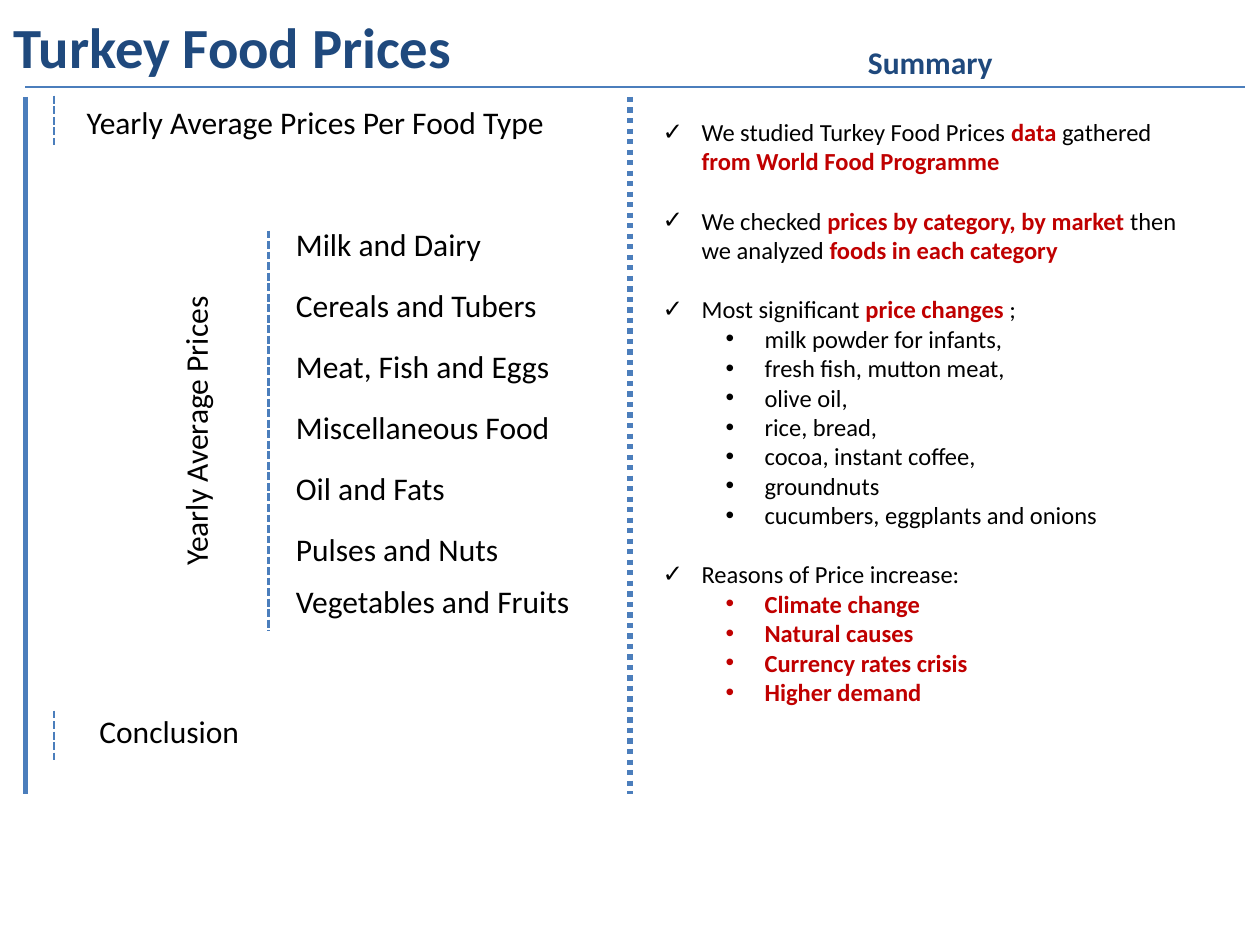
from dataclasses import dataclass

import pptx
import pptx.dml.color
import pptx.enum.dml
import pptx.enum.shapes
import pptx.enum.text
import pptx.oxml.ns
import pptx.oxml.xmlchemy
import pptx.util
from lxml import etree
from pptx.util import Inches

ANCHOR = pptx.enum.text.MSO_ANCHOR
DASH = pptx.enum.dml.MSO_LINE
qn = pptx.oxml.ns.qn


@dataclass(frozen=True)
class Theme:
    font: str = "Calibri"
    bullet_font: str = "Arial"
    heading: str = "1F497D"
    body: str = "000000"
    accent: str = "C00000"
    rule: str = "4B7EBC"
    title_size: float = 32.4
    label_size: float = 18
    list_size: float = 14
    list_gap: float = 17


THEME = Theme()

FOOD_TYPES = [
    "Milk and Dairy", "Cereals and Tubers", "Meat, Fish and Eggs",
    "Miscellaneous Food", "Oil and Fats", "Pulses and Nuts",
]

# Every second part between bars is emphasised.
FINDINGS = [
    ("We studied Turkey Food Prices |data| gathered |from World Food Programme", []),
    ("We checked |prices by category, by market |then we analyzed |foods in each category", []),
    ("Most significant |price changes |;", [
        "milk powder for infants,", "fresh fish, mutton meat,", "olive oil,",
        "rice, bread,", "cocoa, instant coffee,", "groundnuts",
        "cucumbers, eggplants and onions",
    ]),
    ("Reasons of Price increase:", [
        "|Climate change", "|Natural causes", "|Currency rates crisis", "|Higher demand",
    ]),
]


def write(para, text, size=THEME.label_size, color=THEME.body, bold=False):
    """Add text to a paragraph, with parts between bars in bold accent colour."""
    for index, part in enumerate(text.split("|")):
        if not part:
            continue
        strong = index % 2 == 1
        span = para.add_run()
        span.text = part
        span.font.name = THEME.font
        span.font.size = pptx.util.Pt(size)
        span.font.bold = bold or strong
        span.font.color.rgb = pptx.dml.color.RGBColor.from_string(
            THEME.accent if strong else color)


def add_box(page, left, top, width, height, wrap=True, anchor=ANCHOR.TOP):
    box = page.shapes.add_textbox(Inches(left), Inches(top), Inches(width), Inches(height))
    box.text_frame.word_wrap = wrap
    box.text_frame.vertical_anchor = anchor
    return box.text_frame


def add_label(page, text, left, top, width, height=0.4, **look):
    frame = add_box(page, left, top, width, height, wrap=False)
    write(frame.paragraphs[0], text, **look)


def add_rule(page, start, end, weight, dash=None):
    line = page.shapes.add_connector(
        pptx.enum.shapes.MSO_CONNECTOR.STRAIGHT, *map(Inches, start + end))
    line.line.color.rgb = pptx.dml.color.RGBColor.from_string(THEME.rule)
    line.line.width = pptx.util.Pt(weight)
    if dash:
        line.line.dash_style = dash
    etree.SubElement(line.element.spPr, qn("a:effectLst"))


def set_bullet(para, char, margin, font):
    props = para._p.get_or_add_pPr()
    props.set("marL", str(Inches(margin)))
    props.set("indent", str(Inches(-0.31)))
    etree.SubElement(props, qn("a:buFont")).set("typeface", font)
    etree.SubElement(props, qn("a:buChar")).set("char", char)


def draw_header(page, left, top, width, height):
    frame = add_box(page, left, top, width, height, anchor=ANCHOR.MIDDLE)
    write(frame.paragraphs[0], "Turkey Food Prices",
          size=THEME.title_size, color=THEME.heading, bold=True)
    add_label(page, "Summary", left + 6.78, top + 0.25, 1.26,
              color=THEME.heading, bold=True)
    add_rule(page, (left + 0.19, top + 0.65), (left + 9.87, top + 0.65), 0.75)


def draw_outline(page, left, top, width, height):
    """Draw the contents on the left, between a solid and a dotted border."""
    bottom = top + height
    add_rule(page, (left, top), (left, bottom), 3)
    add_rule(page, (left + width, top), (left + width, bottom), 3, DASH.ROUND_DOT)

    for text, indent, offset, label_width, tick in (
            ("Yearly Average Prices Per Food Type", 0.39, 0, 3.94, -0.01),
            ("Conclusion", 0.49, 4.83, 1.35, 4.87)):
        add_rule(page, (left + 0.23, top + tick), (left + 0.23, top + tick + 0.39),
                 1.5, DASH.SQUARE_DOT)
        add_label(page, text, left + indent, top + offset, label_width)

    frame = add_box(page, left + 1.1, top + 1.01, 0.5, 3.23, anchor=ANCHOR.MIDDLE)
    frame._txBody.bodyPr.set("vert", "vert270")
    frame.paragraphs[0].alignment = pptx.enum.text.PP_ALIGN.CENTER
    write(frame.paragraphs[0], "Yearly Average Prices ")

    add_rule(page, (left + 1.93, top + 1.06), (left + 1.93, top + 4.24),
             1.5, DASH.SQUARE_DOT)
    for index, food in enumerate(FOOD_TYPES):
        add_label(page, food, left + 2.05, top + 0.97 + index * 0.484, 2.3)
    add_label(page, "Vegetables and Fruits", left + 2.05, top + 3.8, 2.45)


def draw_summary(page, left, top, width, height):
    frame = add_box(page, left, top, width, height)
    para = frame.paragraphs[0]
    for index, (finding, details) in enumerate(FINDINGS):
        if index:
            para = frame.add_paragraph()
            para.space_before = pptx.util.Pt(THEME.list_gap)
        set_bullet(para, "✓", 0.31, THEME.font)
        write(para, finding, size=THEME.list_size)
        for detail in details:
            para = frame.add_paragraph()
            para.level = 1
            set_bullet(para, "•", 0.81, THEME.bullet_font)
            write(para, detail, size=THEME.list_size)


def main():
    deck = pptx.Presentation()
    deck.slide_width, deck.slide_height = Inches(10), Inches(7.5)
    page = deck.slides.add_slide(deck.slide_layouts[6])
    draw_header(page, 0.01, 0.04, 9.99, 0.64)
    draw_outline(page, 0.2, 0.77, 4.8, 5.53)
    draw_summary(page, 5.16, 0.88, 4.49, 4.81)
    deck.save("out.pptx")


if __name__ == "__main__":
    main()
